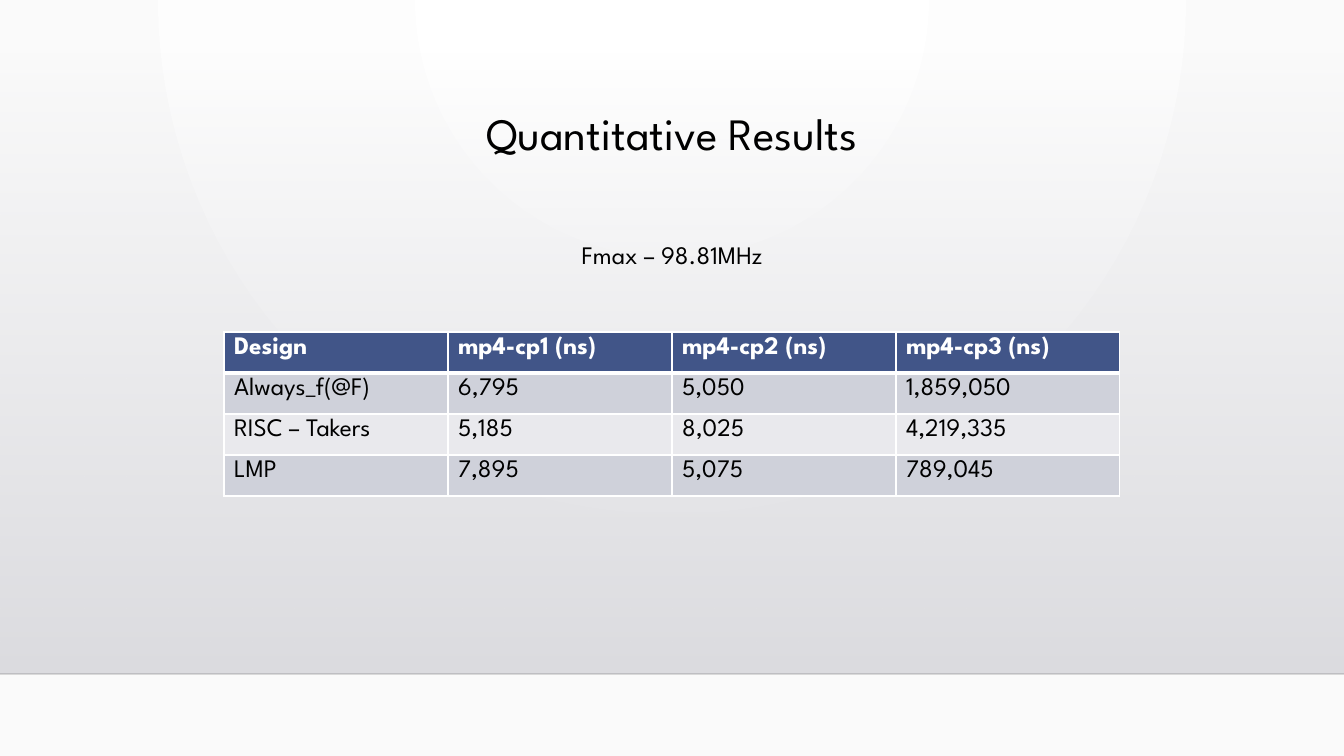
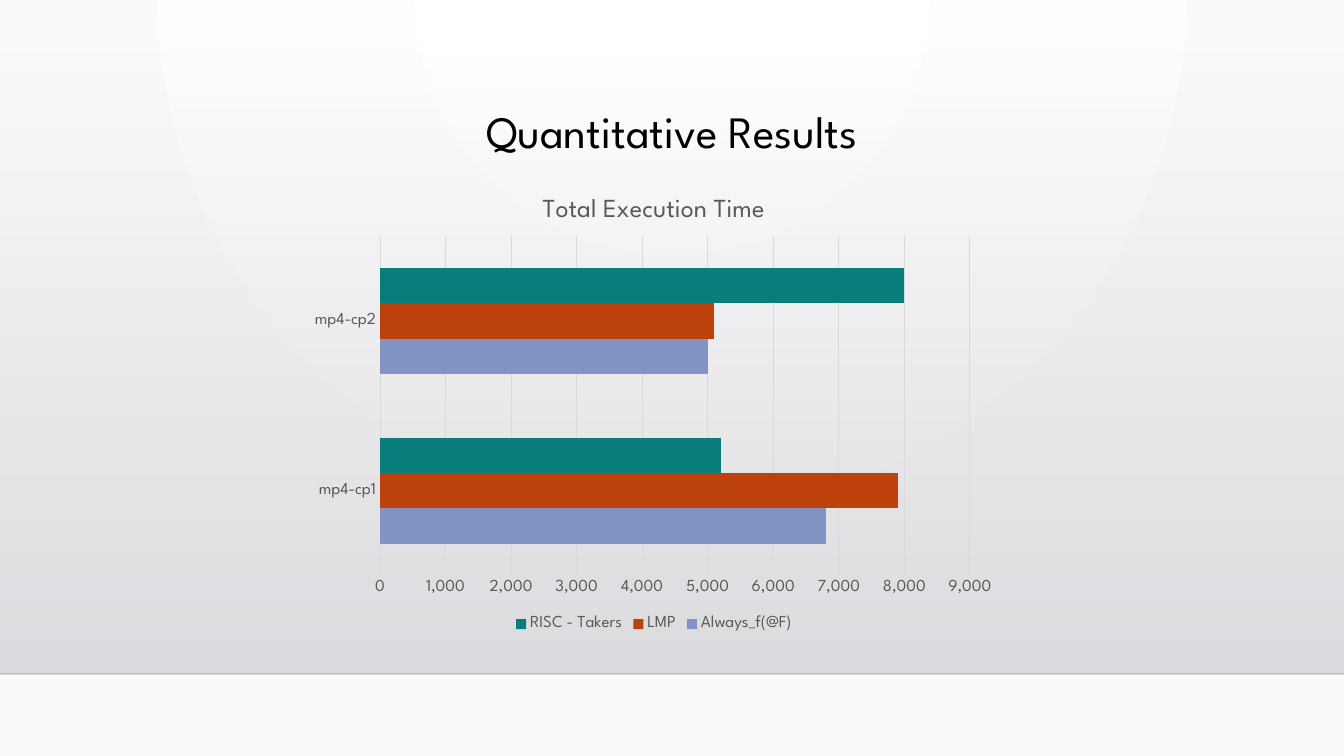
"""Build two slides of quantitative results: a timing table and a bar chart."""
import pptx
import pptx.chart.data
import pptx.dml.color
import pptx.enum.chart
import pptx.enum.shapes
import pptx.enum.text
import pptx.oxml
import pptx.util

WIDTH, HEIGHT = 1344, 756
SCALE = 12192000 / WIDTH
BAND_TOP, BAND_BOTTOM = 51, 674
CHART_WIDTH, CHART_HEIGHT = 706, 460
FONT = "League Spartan"
NAMESPACE = "http://schemas.openxmlformats.org/drawingml/2006/main"
CHART_NAMESPACE = "http://schemas.openxmlformats.org/drawingml/2006/chart"
TITLE_ONLY = 5

COLOURS = {
    "white": "FFFFFF", "black": "000000", "paper": "FAFAFA",
    "band_top": "DCDCE0", "band_bottom": "DEDEE2", "edge": "000001",
    "header": "415588", "odd_row": "CFD1DA", "even_row": "E9E9ED",
    "label": "595959", "grid": "D9D9D9",
    "lavender": "8294C3", "rust": "BC410A", "teal": "087D7C",
}

HEADER = ["Design", "mp4-cp1 (ns)", "mp4-cp2 (ns)", "mp4-cp3 (ns)"]
RESULTS = {
    "Always_f(@F)": (6795, 5050, 1859050),
    "RISC – Takers": (5185, 8025, 4219335),
    "LMP": (7895, 5075, 789045),
}
CATEGORIES = ["mp4-cp1", "mp4-cp2"]
SERIES = [
    ("Always_f(@F)", (6800, 5000), "lavender"),
    ("LMP", (7900, 5100), "rust"),
    ("RISC - Takers", (5200, 8000), "teal"),
]


def px(length):
    return pptx.util.Emu(round(length * SCALE))


def rgb(name):
    return pptx.dml.color.RGBColor.from_string(COLOURS[name])


def assign(target, values):
    for name, value in values.items():
        setattr(target, name, value)


def style_font(font, size, colour, bold=False):
    assign(font, {"name": FONT, "size": pptx.util.Pt(size), "bold": bold})
    font.color.rgb = rgb(colour)


def style_line(line, colour, width):
    line.color.rgb = rgb(colour)
    line.width = pptx.util.Pt(width)


def write_text(frame, text, size, colour, bold=False, **para_format):
    para = frame.paragraphs[0]
    assign(para, para_format)
    span = para.add_run()
    span.text = text
    style_font(span.font, size, colour, bold)


def set_gradient(owner, fill, stops, direction):
    fill.gradient()
    plain = owner.element.find(f".//{{{NAMESPACE}}}gradFill")
    stop_xml = "".join(
        f'<a:gs pos="{position * 1000}"><a:srgbClr val="{COLOURS[colour]}">'
        f'<a:alpha val="{opacity * 1000}"/></a:srgbClr></a:gs>'
        for position, colour, opacity in stops)
    gradient = pptx.oxml.parse_xml(
        f'<a:gradFill xmlns:a="{NAMESPACE}" rotWithShape="1">'
        f"<a:gsLst>{stop_xml}</a:gsLst>{direction}</a:gradFill>")
    plain.getparent().replace(plain, gradient)


def add_band(page):
    band = page.shapes.add_shape(
        pptx.enum.shapes.MSO_SHAPE.RECTANGLE,
        0, px(BAND_TOP), px(WIDTH), px(BAND_BOTTOM - BAND_TOP))
    band.shadow.inherit = False
    band.line.fill.background()
    set_gradient(band, band.fill,
                 [(0, "band_top", 0), (100, "band_bottom", 100)],
                 '<a:lin ang="5400000" scaled="0"/>')
    return band


def add_edge(page):
    edge = page.shapes.add_connector(
        pptx.enum.shapes.MSO_CONNECTOR.STRAIGHT,
        0, px(BAND_BOTTOM), px(WIDTH), px(BAND_BOTTOM))
    style_line(edge.line, "edge", 1)
    colour = edge.element.find(f".//{{{NAMESPACE}}}srgbClr")
    colour.append(pptx.oxml.parse_xml(
        f'<a:alpha xmlns:a="{NAMESPACE}" val="20000"/>'))
    edge.element.spPr.append(pptx.oxml.parse_xml(
        f'<a:effectLst xmlns:a="{NAMESPACE}"/>'))
    return edge


def decorate_master(deck, page):
    master = deck.slide_master
    set_gradient(master, master.background.fill,
                 [(0, "white", 100), (100, "paper", 100)],
                 '<a:path path="circle"><a:fillToRect l="43000" t="0" '
                 'r="43000" b="100000"/></a:path>')
    for index, part in enumerate([add_band(page), add_edge(page)], start=2):
        master.shapes.element.insert(index, part.element)


def add_page(deck, title, top):
    page = deck.slides.add_slide(deck.slide_layouts[TITLE_ONLY])
    box = page.shapes.title
    assign(box, {"left": px(143), "top": px(top),
                 "width": px(1058), "height": px(72)})
    box.text_frame.vertical_anchor = pptx.enum.text.MSO_ANCHOR.TOP
    write_text(box.text_frame, title, 32, "black", line_spacing=0.9,
               alignment=pptx.enum.text.PP_ALIGN.CENTER)
    return page


def add_caption(page, text):
    box = page.shapes.add_textbox(px(140), px(234), px(1064), px(40))
    assign(box.text_frame, {
        "word_wrap": True,
        "auto_size": pptx.enum.text.MSO_AUTO_SIZE.SHAPE_TO_FIT_TEXT})
    write_text(box.text_frame, text, 18, "black",
               alignment=pptx.enum.text.PP_ALIGN.CENTER)


def set_borders(cell, widths):
    properties = cell._tc.get_or_add_tcPr()
    for index, (side, width) in enumerate(widths.items()):
        properties.insert(index, pptx.oxml.parse_xml(
            f'<a:ln{side} xmlns:a="{NAMESPACE}" w="{pptx.util.Pt(width)}">'
            f'<a:solidFill><a:srgbClr val="{COLOURS["white"]}"/>'
            f"</a:solidFill></a:ln{side}>"))


def add_results_table(page):
    rows = [HEADER] + [[name] + [f"{value:,}" for value in values]
                       for name, values in RESULTS.items()]
    column_width, row_height = 224, 41
    table = page.shapes.add_table(
        len(rows), len(HEADER), px(224), px(332),
        px(column_width * len(HEADER)), px(row_height * len(rows))).table
    for row_index, texts in enumerate(rows):
        is_header = row_index == 0
        row_fill = "odd_row" if row_index % 2 else "even_row"
        for column_index, text in enumerate(texts):
            cell = table.cell(row_index, column_index)
            cell.fill.solid()
            cell.fill.fore_color.rgb = rgb("header" if is_header else row_fill)
            write_text(cell.text_frame, text, 18,
                       "white" if is_header else "black", is_header)
            set_borders(cell, {"L": 1, "R": 1,
                               "T": 3 if row_index == 1 else 1,
                               "B": 3 if is_header else 1})


def style_axes(chart):
    none = pptx.enum.chart.XL_TICK_MARK.NONE
    for axis in (chart.category_axis, chart.value_axis):
        assign(axis, {"major_tick_mark": none, "minor_tick_mark": none})
        style_font(axis.tick_labels.font, 12, "label")
    style_line(chart.category_axis.format.line, "grid", 0.75)
    values = chart.value_axis
    assign(values, {"minimum_scale": 0, "maximum_scale": 9000,
                    "major_unit": 1000, "has_major_gridlines": True})
    style_line(values.major_gridlines.format.line, "grid", 0.75)
    values.format.line.fill.background()
    assign(values.tick_labels, {"number_format": "#,##0",
                                "number_format_is_linked": False})


def clear_chart_background(chart):
    text_properties = chart.element.find(f"{{{CHART_NAMESPACE}}}txPr")
    text_properties.addprevious(pptx.oxml.parse_xml(
        f'<c:spPr xmlns:c="{CHART_NAMESPACE}" xmlns:a="{NAMESPACE}">'
        "<a:noFill/><a:ln><a:noFill/></a:ln></c:spPr>"))


def place_plot(chart, left, top, width, height):
    area = chart.element.find(f".//{{{CHART_NAMESPACE}}}plotArea")
    for automatic in area.findall(f"{{{CHART_NAMESPACE}}}layout"):
        area.remove(automatic)
    shares = {"x": left / CHART_WIDTH, "y": top / CHART_HEIGHT,
              "w": width / CHART_WIDTH, "h": height / CHART_HEIGHT}
    share_xml = "".join(f'<c:{name} val="{share:.4f}"/>'
                        for name, share in shares.items())
    area.insert(0, pptx.oxml.parse_xml(
        f'<c:layout xmlns:c="{CHART_NAMESPACE}"><c:manualLayout>'
        '<c:layoutTarget val="inner"/><c:xMode val="edge"/>'
        f'<c:yMode val="edge"/>{share_xml}</c:manualLayout></c:layout>'))


def add_time_chart(page, title):
    data = pptx.chart.data.CategoryChartData(number_format="#,##0")
    data.categories = CATEGORIES
    for name, values, _ in SERIES:
        data.add_series(name, values)
    chart = page.shapes.add_chart(
        pptx.enum.chart.XL_CHART_TYPE.BAR_CLUSTERED, px(301), px(176),
        px(CHART_WIDTH), px(CHART_HEIGHT), data).chart
    style_font(chart.font, 10, "black")
    clear_chart_background(chart)
    assign(chart, {"has_title": True, "has_legend": True})
    write_text(chart.chart_title.text_frame, title, 18.6, "label")
    chart.chart_title.include_in_layout = False
    assign(chart.legend, {
        "position": pptx.enum.chart.XL_LEGEND_POSITION.BOTTOM,
        "include_in_layout": False})
    style_font(chart.legend.font, 12, "label")
    style_axes(chart)
    place_plot(chart, 79, 60, 590, 340)
    plot = chart.plots[0]
    assign(plot, {"gap_width": 182, "vary_by_categories": False})
    for series, (_, _, colour) in zip(plot.series, SERIES):
        series.invert_if_negative = False
        series.format.fill.solid()
        series.format.fill.fore_color.rgb = rgb(colour)


def main():
    deck = pptx.Presentation()
    assign(deck, {"slide_width": px(WIDTH), "slide_height": px(HEIGHT)})
    title = "Quantitative Results"
    table_page = add_page(deck, title, 107)
    decorate_master(deck, table_page)
    add_results_table(table_page)
    add_caption(table_page, "Fmax – 98.81MHz")
    chart_page = add_page(deck, title, 105)
    add_time_chart(chart_page, "Total Execution Time")
    deck.save("out.pptx")


if __name__ == "__main__":
    main()
